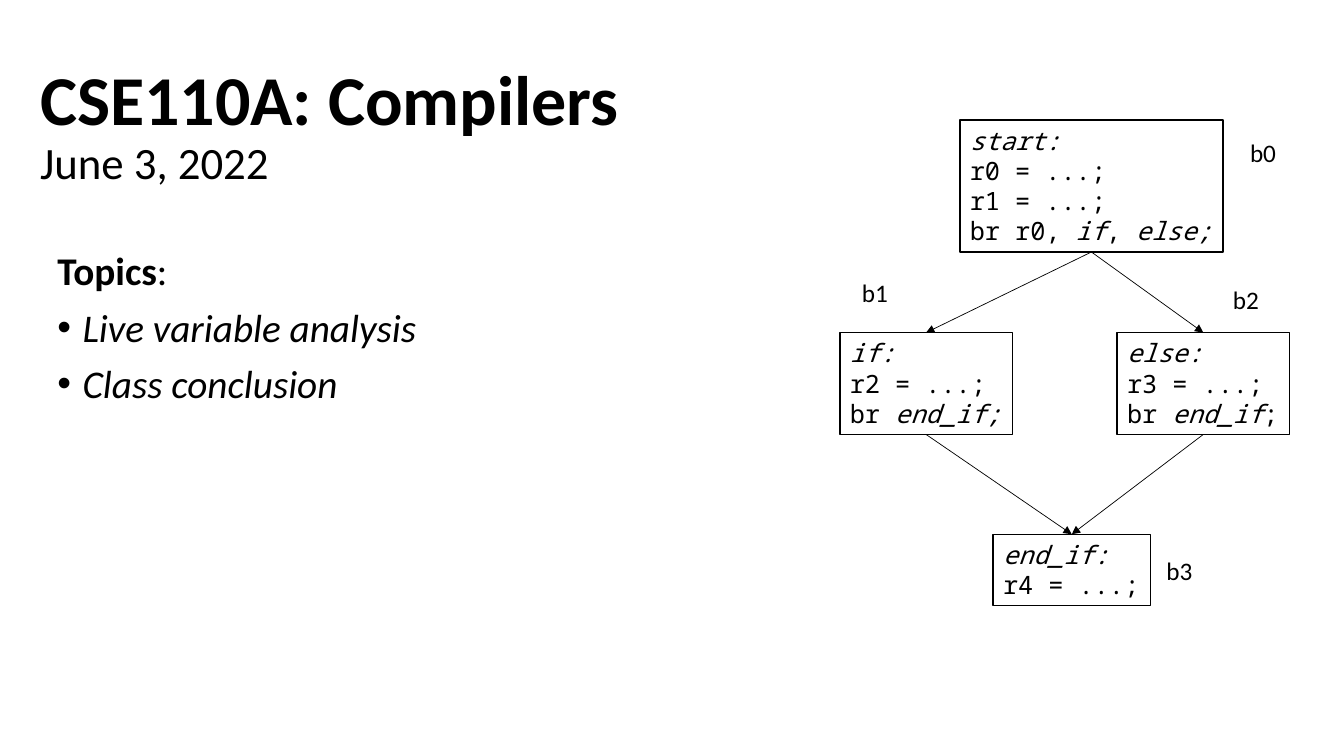
from lxml.etree import SubElement as Sub
from pptx import Presentation
from pptx.dml.color import RGBColor as RGB
from pptx.enum.shapes import MSO_CONNECTOR as CONN, MSO_SHAPE as SHAPE
from pptx.enum.text import MSO_ANCHOR as ANCHOR, MSO_AUTO_SIZE as AUTO, PP_ALIGN as ALIGN
from pptx.oxml.ns import qn
from pptx.util import Inches, Pt

BLACK, WHITE = "000000", "FFFFFF"
SANS, MONO = "Calibri", "Noto Sans Mono"
BLOCKS = {
    "b0": ((1.19, 0, 2.61, 1.31), (3.97, 0.12),
           ["*start:*", "r0 = ...;", "r1 = ...;", "br r0, *if*, *else;*"]),
    "b1": ((0, 2.11, 1.71, 1.01), (0.12, 1.51),
           ["*if:*\nr2 = ...;", "br *end_if;*"]),
    "b2": ((2.75, 2.11, 1.71, 1.01), (3.8, 1.58),
           ["*else:*", "r3 = ...;\nbr *end_if*;"]),
    "b3": ((1.52, 4.11, 1.56, 0.71), (3.14, 4.27),
           ["*end_if:*", "r4 = ...;"]),
}
EDGES = [("b0", "b1"), ("b0", "b2"), ("b1", "b3"), ("b2", "b3")]


def color(code):
    return RGB.from_string(code)


def style(para, size, face):
    font = para.font
    font.size, font.name = Pt(size), face
    font.color.rgb = color(BLACK)


def add_text(slide, x, y, w, h):
    box = slide.shapes.add_textbox(Inches(x), Inches(y), Inches(w), Inches(h))
    box.text_frame.word_wrap = True
    return box.text_frame


def add_para(frame, first):
    return frame.paragraphs[0] if first else frame.add_paragraph()


def add_code(para, text):
    for i, part in enumerate(text.split("*")):
        for j, line in enumerate(part.split("\n")):
            if j:
                para.add_line_break()
            if line:
                run = para.add_run()
                run.text = line
                run.font.italic = i % 2 == 1


def add_title(slide, x, y, w, h):
    frame = add_text(slide, x, y, w, h)
    frame.vertical_anchor = ANCHOR.MIDDLE
    para = frame.paragraphs[0]
    para.line_spacing = 0.9
    style(para, 50, SANS)
    head = para.add_run()
    head.text = "CSE110A: Compilers"
    head.font.bold = True
    para.add_line_break()
    date = para.add_run()
    date.text = "June 3, 2022"
    date.font.size = Pt(32)


def add_topics(slide, x, y, w, h):
    frame = add_text(slide, x, y, w, h)
    lead = frame.paragraphs[0]
    lead.line_spacing = 0.9
    style(lead, 28, SANS)
    for text, bold in (("Topics", True), (":", False)):
        run = lead.add_run()
        run.text = text
        run.font.bold = bold
    for topic in ("Live variable analysis", "Class conclusion"):
        para = frame.add_paragraph()
        props = para._p.get_or_add_pPr()
        props.set("marL", str(Inches(0.25)))
        props.set("indent", str(-Inches(0.25)))
        Sub(props, qn("a:buFont")).set("typeface", "Arial")
        Sub(props, qn("a:buChar")).set("char", "•")
        para.line_spacing = 0.9
        para.space_before = Pt(10)
        para.text = topic
        style(para, 28, SANS)
        para.font.italic = True


def add_block(slide, x, y, w, h, lines):
    rect = slide.shapes.add_shape(
        SHAPE.RECTANGLE, Inches(x), Inches(y), Inches(w), Inches(h))
    rect.shadow.inherit = False
    rect.fill.solid()
    rect.fill.fore_color.rgb = color(WHITE)
    rect.line.color.rgb = color(BLACK)
    rect.line.width = Pt(1)
    frame = rect.text_frame
    frame.word_wrap = False
    frame.auto_size = AUTO.SHAPE_TO_FIT_TEXT
    frame.vertical_anchor = ANCHOR.TOP
    for i, line in enumerate(lines):
        para = add_para(frame, i == 0)
        para.alignment = ALIGN.LEFT
        style(para, 18, MONO)
        add_code(para, line)
    return rect


def add_label(slide, x, y, text):
    frame = add_text(slide, x, y, 0.46, 0.4)
    frame.word_wrap = False
    frame.auto_size = AUTO.SHAPE_TO_FIT_TEXT
    para = frame.paragraphs[0]
    para.text = text
    style(para, 18, SANS)


def add_arrow(slide, start, end):
    edge = slide.shapes.add_connector(CONN.STRAIGHT, 0, 0, 0, 0)
    edge.begin_connect(start, 2)
    edge.end_connect(end, 0)
    edge.line.color.rgb = color(BLACK)
    edge.line.width = Pt(0.5)
    Sub(edge.line._get_or_add_ln(), qn("a:tailEnd")).set("type", "triangle")
    Sub(edge._element.spPr, qn("a:effectLst"))


def add_graph(slide, x, y):
    rects = {}
    for name, ((dx, dy, w, h), (lx, ly), lines) in BLOCKS.items():
        rects[name] = add_block(slide, x + dx, y + dy, w, h, lines)
        add_label(slide, x + lx, y + ly, name)
    for start, end in EDGES:
        add_arrow(slide, rects[start], rects[end])


def main():
    deck = Presentation()
    deck.slide_width, deck.slide_height = Inches(13.33), Inches(7.5)
    slide = deck.slides.add_slide(deck.slide_layouts[6])
    add_title(slide, 0.3, 0.41, 11.5, 1.7)
    add_topics(slide, 0.47, 2.45, 7.55, 4.6)
    add_graph(slide, 8.33, 1.19)
    deck.save("out.pptx")


if __name__ == "__main__":
    main()
